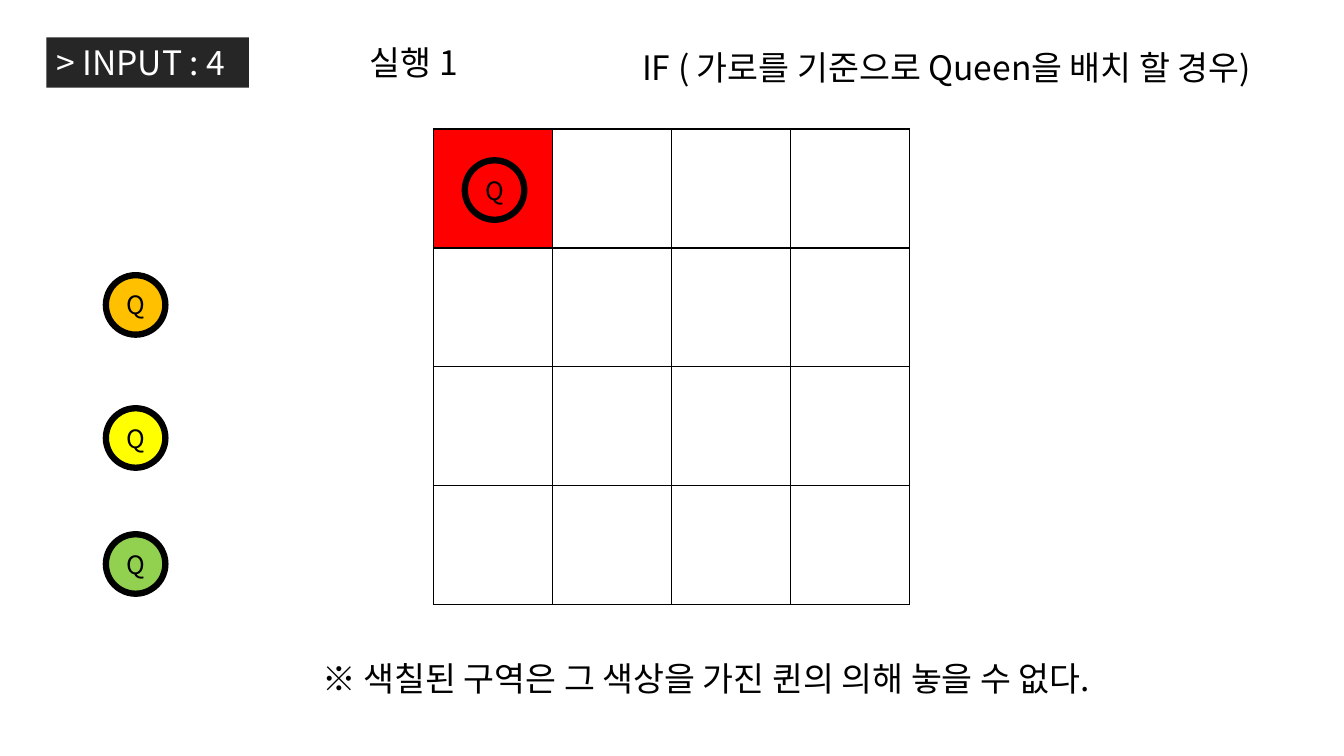
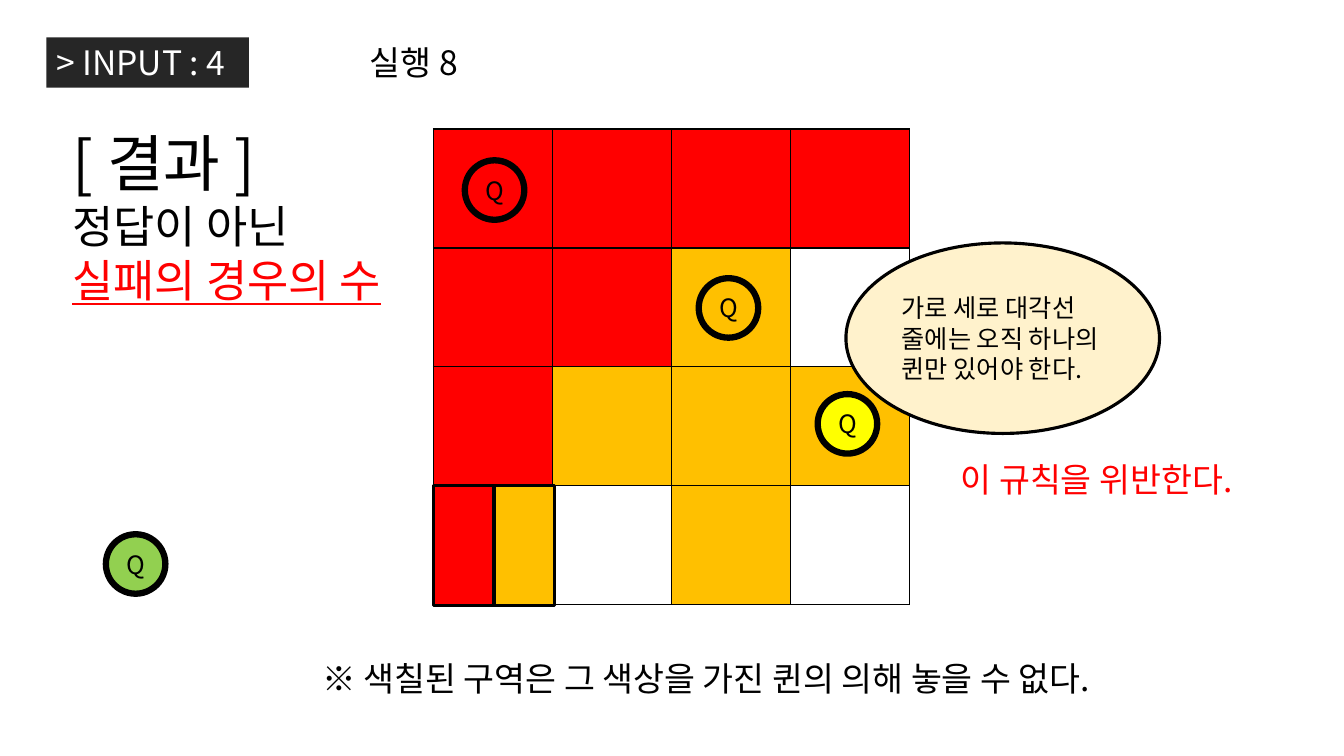
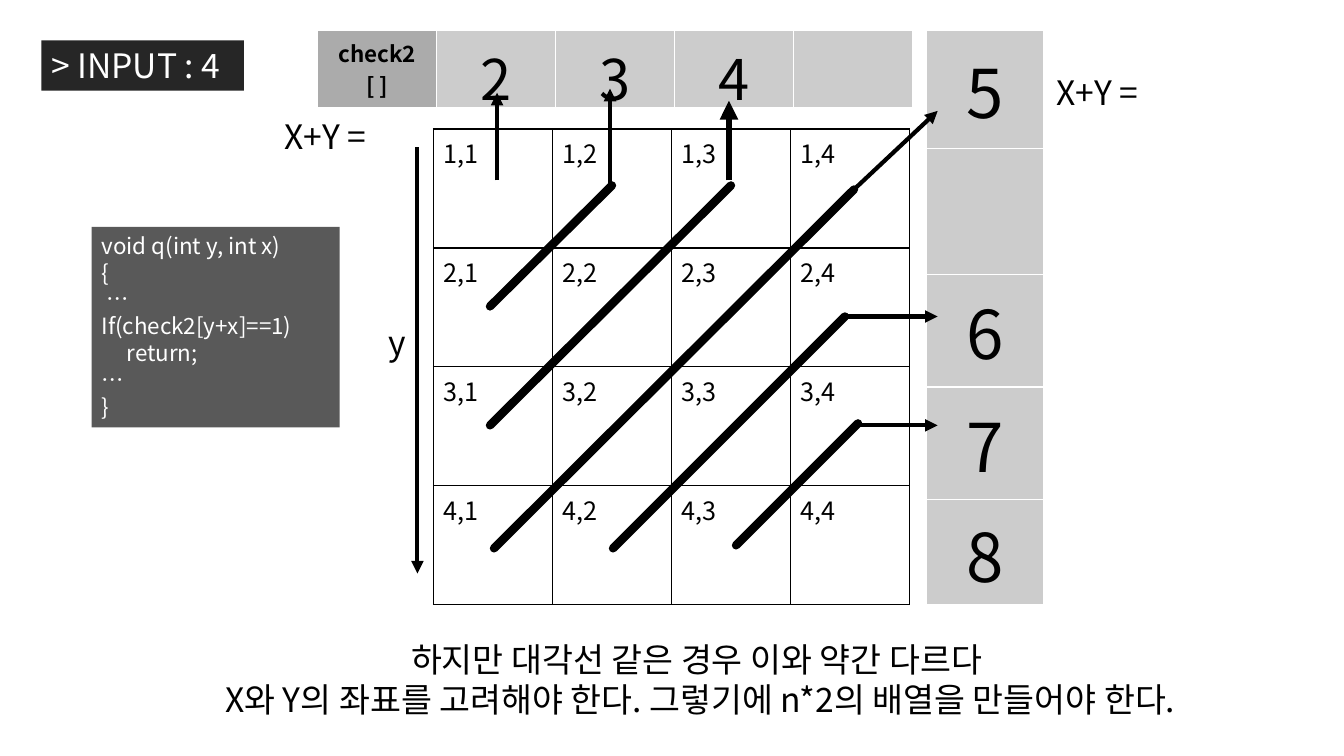
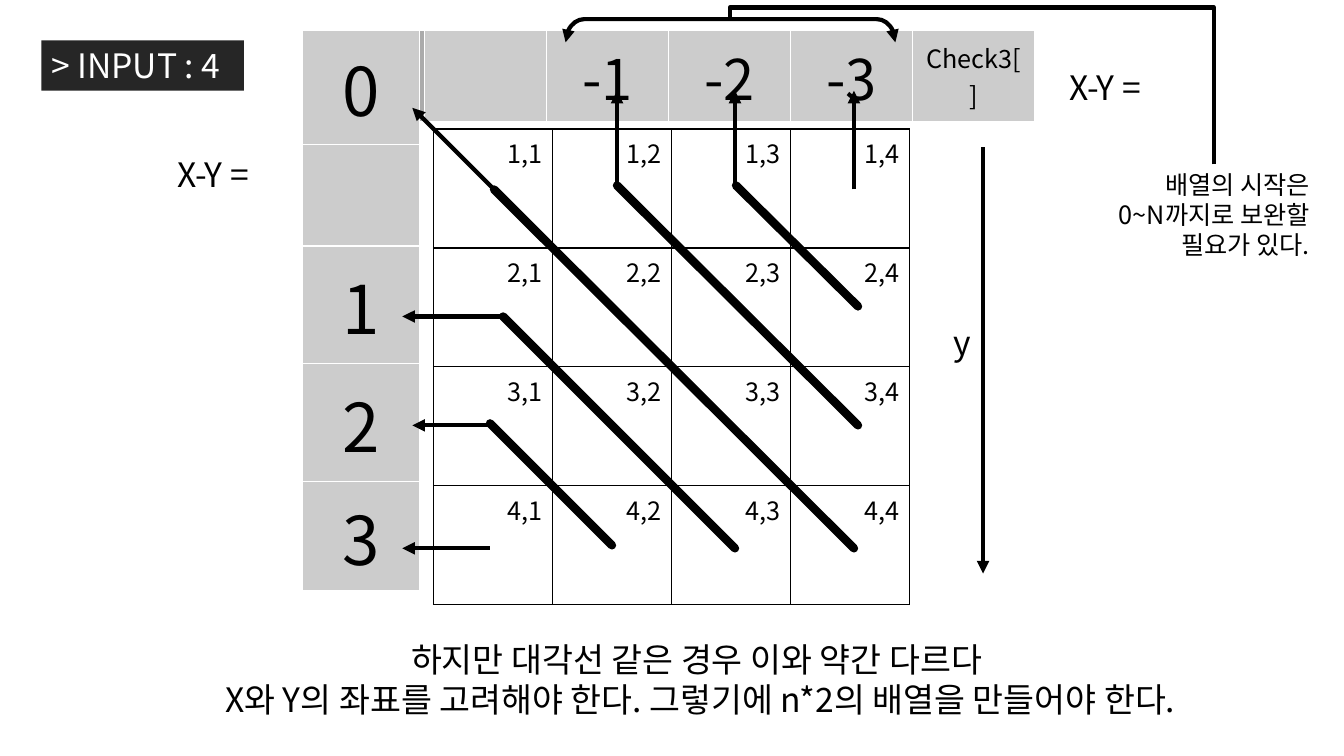
from lxml.etree import SubElement
from pptx import Presentation
from pptx.dml.color import RGBColor
from pptx.enum.shapes import MSO_CONNECTOR as CXN, MSO_SHAPE as SHAPE
from pptx.enum.text import MSO_ANCHOR as ANCHOR, MSO_AUTO_SIZE as AUTO, PP_ALIGN as ALIGN
from pptx.oxml.ns import qn
from pptx.util import Pt

PX = 9144  # 100 px to the inch
FONT = "Noto Sans CJK KR"

BLACK = RGBColor(0x00, 0x00, 0x00)
WHITE = RGBColor(0xFF, 0xFF, 0xFF)
RED = RGBColor(0xFF, 0x00, 0x00)
ORANGE = RGBColor(0xFF, 0xC0, 0x00)
YELLOW = RGBColor(0xFF, 0xFF, 0x00)
GREEN = RGBColor(0x92, 0xD0, 0x50)
CREAM = RGBColor(0xFF, 0xF2, 0xCC)
INK = RGBColor(0x26, 0x26, 0x26)
CODE = RGBColor(0x59, 0x59, 0x59)
GREY = RGBColor(0xCC, 0xCC, 0xCC)
DARK_GREY = RGBColor(0xAB, 0xAB, 0xAB)

CELL = 118
BOARD_X, BOARD_Y = 430, 128
MIRROR = 1337  # left x + right x of mirrored points on the board
DIAGONALS = [
    (725, 184, 486, 422),
    (847, 188, 490, 544),
    (838, 314, 608, 544),
    (607, 184, 486, 304),
    (851, 420, 730, 541),
]
PLACE_RULE = "※ 색칠된 구역은 그 색상을 가진 퀸의 의해 놓을 수 없다."
DIAGONAL_NOTE = [
    "하지만 대각선 같은 경우 이와 약간 다르다 ",
    "X와 Y의 좌표를 고려해야 한다. 그렇기에 n*2의 배열을 만들어야 한다.",
]
SOURCE_CODE = ["void q(int y, int x)", "{", " …", "If(check2[y+x]==1)",
               ("return;", {"indent": 25}), "…", "}"]


def px(*lengths):
    return [round(n * PX) for n in lengths]


class Deck:
    """Holds the shared style and the slide being drawn."""

    def __init__(self):
        self.prs = Presentation()
        self.prs.slide_width, self.prs.slide_height = px(1333, 750)
        self.shapes = None

    def slide(self):
        self.shapes = self.prs.slides.add_slide(self.prs.slide_layouts[6]).shapes

    def fill_text(self, tf, paras, size=24, color=BLACK, align=ALIGN.LEFT, **font):
        """Fill a text frame; a paragraph is a string or (string, overrides)."""
        for i, para in enumerate([paras] if isinstance(paras, str) else paras):
            text, own = (para, {}) if isinstance(para, str) else para
            fmt = {"size": size, "color": color, "indent": 0, **font, **own}
            p = tf.paragraphs[0] if i == 0 else tf.add_paragraph()
            p.alignment = align
            indent = fmt.pop("indent")
            if indent:
                p._p.get_or_add_pPr().set("marL", str(indent * PX))
            r = p.add_run()
            r.text = text
            r.font.color.rgb = fmt.pop("color")
            fmt.update(name=FONT, size=Pt(fmt["size"]))
            for key, value in fmt.items():
                setattr(r.font, key, value)
            SubElement(r.font._element, qn("a:ea")).set("typeface", FONT)

    def text(self, x, y, w, h, paras, **fmt):
        tf = self.shapes.add_textbox(*px(x, y, w, h)).text_frame
        tf.word_wrap, tf.auto_size = True, AUTO.SHAPE_TO_FIT_TEXT
        self.fill_text(tf, paras, **fmt)

    def shape(self, kind, x, y, w, h, fill=None, line=0, paras=(), anchor=ANCHOR.MIDDLE, **fmt):
        sp = self.shapes.add_shape(kind, *px(x, y, w, h))
        sp.shadow.inherit = False
        if fill is None:
            sp.fill.background()
        else:
            sp.fill.solid()
            sp.fill.fore_color.rgb = fill
        if line:
            sp.line.width = Pt(line)
            sp.line.color.rgb = BLACK
        else:
            sp.line.fill.background()
        if paras:
            tf = sp.text_frame
            tf.word_wrap, tf.auto_size = True, AUTO.SHAPE_TO_FIT_TEXT
            tf.vertical_anchor = anchor
            self.fill_text(tf, paras, **fmt)
        return sp

    def arrowheads(self, sp, *ends):
        for end in ends:
            SubElement(sp._element.spPr.get_or_add_ln(), qn(f"a:{end}")).set("type", "triangle")

    def line(self, x1, y1, x2, y2, width=3, arrow=False, kind=CXN.STRAIGHT):
        sp = self.shapes.add_connector(kind, *px(x1, y1, x2, y2))
        sp.line.width = Pt(width)
        sp.line.color.rgb = BLACK
        if arrow:
            self.arrowheads(sp, "tailEnd")
        SubElement(sp._element.spPr, qn("a:effectLst"))
        return sp

    def arrow(self, *ends, width=3):
        self.line(*ends, width=width, arrow=True)

    def diagonal(self, *ends):
        sp = self.line(*ends, width=6)
        sp._element.spPr.get_or_add_ln().set("cap", "rnd")

    def elbow(self, x1, y1, x2, y2, bend):
        """Elbow that leaves upwards, runs left and comes down; bend is a share of its height."""
        cx, cy = (x1 + x2) / 2, (y1 + y2) / 2
        dx, dy = (y1 - y2) / 2, (x1 - x2) / 2
        sp = self.line(cx - dx, cy + dy, cx + dx, cy - dy, kind=CXN.ELBOW)
        sp._element.spPr.find(qn("a:xfrm")).set("rot", str(270 * 60000))
        guides = sp._element.spPr.find(qn("a:prstGeom")).get_or_add_avLst()
        guide = SubElement(guides, qn("a:gd"))
        guide.set("name", "adj1")
        guide.set("fmla", f"val {round(bend * 100000)}")

    def table(self, x, y, cols, rows, texts, fills, border, anchor=ANCHOR.TOP, **fmt):
        """Texts and fills are lists of rows; a text may be (string, overrides)."""
        t = self.shapes.add_table(len(rows), len(cols), *px(x, y, sum(cols), sum(rows))).table
        t.first_row = t.horz_banding = False
        for col, w in zip(t.columns, px(*cols)):
            col.width = w
        for row, h in zip(t.rows, px(*rows)):
            row.height = h
        for i in range(len(rows)):
            for j in range(len(cols)):
                cell = t.cell(i, j)
                self.border(cell, border)
                if fills[i][j] is None:
                    cell.fill.background()
                else:
                    cell.fill.solid()
                    cell.fill.fore_color.rgb = fills[i][j]
                cell.vertical_anchor = anchor
                if texts[i][j]:
                    self.fill_text(cell.text_frame, [texts[i][j]], **fmt)

    def border(self, cell, color):
        tc_pr = cell._tc.get_or_add_tcPr()
        for side in "LRTB":
            ln = SubElement(tc_pr, qn(f"a:ln{side}"))
            ln.set("w", str(Pt(1)))
            SubElement(SubElement(ln, qn("a:solidFill")), qn("a:srgbClr")).set("val", str(color))

    def board(self, colors=("....",) * 4, numbered=False, align=ALIGN.LEFT):
        """4 x 4 chess board; colours are rows of letters."""
        palette = {"R": RED, "O": ORANGE, ".": None}
        texts = [[f"{y},{x}" if numbered else "" for x in range(1, 5)] for y in range(1, 5)]
        fills = [[palette[c] for c in row] for row in colors]
        self.table(BOARD_X, BOARD_Y, [CELL] * 4, [CELL] * 4, texts, fills, BLACK,
                   size=18, align=align)

    def header(self, x, col, texts, fills):
        self.table(x, 30, [col] * len(texts), [69], [texts], [fills], WHITE,
                   ANCHOR.MIDDLE, size=40, align=ALIGN.CENTER)

    def side(self, x, rows, texts):
        self.table(x, 30, [116], rows, [[t] for t in texts], [[GREY]] * len(rows), WHITE,
                   ANCHOR.MIDDLE, size=48, align=ALIGN.CENTER)

    def queen(self, x, y, color):
        self.shape(SHAPE.OVAL, x, y, 59, 59, color, 4.5, "Q", size=18, align=ALIGN.CENTER)

    def input_tag(self, x, y):
        self.shape(SHAPE.RECTANGLE, x, y, 201, 50, INK, 0, "> INPUT : 4",
                   ANCHOR.TOP, color=WHITE)

    def placement(self, step, colors, queens):
        """Board with queens, the step number and the rule below."""
        self.slide()
        self.board(colors)
        self.input_tag(46, 37)
        for queen in queens:
            self.queen(*queen)
        self.text(357, 37, 611, 50, f"실행 {step}")
        self.text(310, 648, 804, 50, PLACE_RULE)

    def numbered_board(self, axis_x, align):
        """Numbered board with its y axis and the note below."""
        self.board(numbered=True, align=align)
        self.input_tag(41, 40)
        self.arrow(axis_x, 146, axis_x, 569)
        self.text(axis_x - 39, 314, 75, 50, "y")
        self.text(126, 629, 1137, 91, DIAGONAL_NOTE, align=ALIGN.CENTER)

    def first_step(self):
        self.placement(1, ["R...", "....", "....", "...."], [
            (461, 159, RED), (105, 273, ORANGE), (105, 405, YELLOW), (105, 530, GREEN)])
        self.text(627, 42, 682, 50, "IF ( 가로를 기준으로 Queen을 배치 할 경우)")

    def failed_step(self):
        self.placement(8, ["RRRR", "RRO.", "ROOO", "..O."], [
            (461, 159, RED), (693, 276, ORANGE), (811, 391, YELLOW), (105, 530, GREEN)])
        self.shape(SHAPE.OVAL, 839, 241, 311, 189, CREAM, 2.25,
                   ["가로 세로 대각선", "줄에는 오직 하나의 퀸만 있어야 한다."], size=18)
        self.text(943, 450, 313, 50, "이 규칙을 위반한다.", color=RED)
        self.text(62, 119, 559, 192, [
            ("[ 결과 ]", {"size": 44}), "정답이 아닌",
            ("실패의 경우의 수", {"color": RED, "underline": True})], size=32)
        for i, color in enumerate([RED, ORANGE]):
            self.shape(SHAPE.RECTANGLE, BOARD_X + 60 * i, 482, 60, 119, color, 2.25)

    def sum_diagonals(self):
        self.slide()
        self.header(315, CELL, [("check2 [ ]", {"size": 16, "bold": True}), "2", "3", "4", ""],
                    [DARK_GREY] + [GREY] * 4)
        self.numbered_board(414, ALIGN.LEFT)
        self.side(919, [117, 125, 112, 112, 104], ["5", "", "6", "7", "8"])
        for ends in DIAGONALS:
            self.diagonal(*ends)
        self.arrow(723, 179, 723, 100, width=4.5)
        for ends in [(847, 188, 930, 110), (838, 314, 930, 314), (851, 422, 930, 422),
                     (493, 179, 493, 92), (605, 184, 605, 88)]:
            self.arrow(*ends)
        for x, y in [(272, 110), (1038, 66)]:
            self.text(x, y, 126, 50, "X+Y =")
        self.shape(SHAPE.RECTANGLE, 91, 225, 246, 199, CODE, 0, SOURCE_CODE,
                   ANCHOR.TOP, size=16, color=WHITE)

    def difference_diagonals(self):
        self.slide()
        self.header(300, 121, ["", "", "-1", "-2", "-3", ("Check3[]", {"size": 18})],
                    [DARK_GREY] + [GREY] * 5)
        self.numbered_board(975, ALIGN.RIGHT)
        self.side(300, [113, 101, 117, 117, 108], ["0", "", "1", "2", "3"])
        for x1, y1, x2, y2 in DIAGONALS:
            self.diagonal(MIRROR - x1, y1, MIRROR - x2, y2)
        for ends in [(490, 188, 409, 107), (612, 184, 612, 90), (729, 188, 729, 90),
                     (847, 188, 847, 90), (499, 314, 399, 314), (486, 422, 409, 422),
                     (486, 544, 399, 544)]:
            self.arrow(*ends)
        for x, y in [(166, 148), (1051, 61)]:
            self.text(x, y, 126, 50, "X-Y =")
        bracket = self.shape(SHAPE.LEFT_BRACKET, 713, -133, 23, 327, line=3)
        bracket.rotation = 90
        bracket.adjustments[0] = 0.8
        self.arrowheads(bracket, "headEnd", "tailEnd")
        self.text(1098, 163, 211, 101, "배열의 시작은 0~N까지로 보완할 필요가 있다.",
                  size=18, align=ALIGN.RIGHT)
        self.elbow(1204, 163, 724, 19, 1.08)


def main():
    deck = Deck()
    deck.first_step()
    deck.failed_step()
    deck.sum_diagonals()
    deck.difference_diagonals()
    deck.prs.save("out.pptx")


if __name__ == "__main__":
    main()
